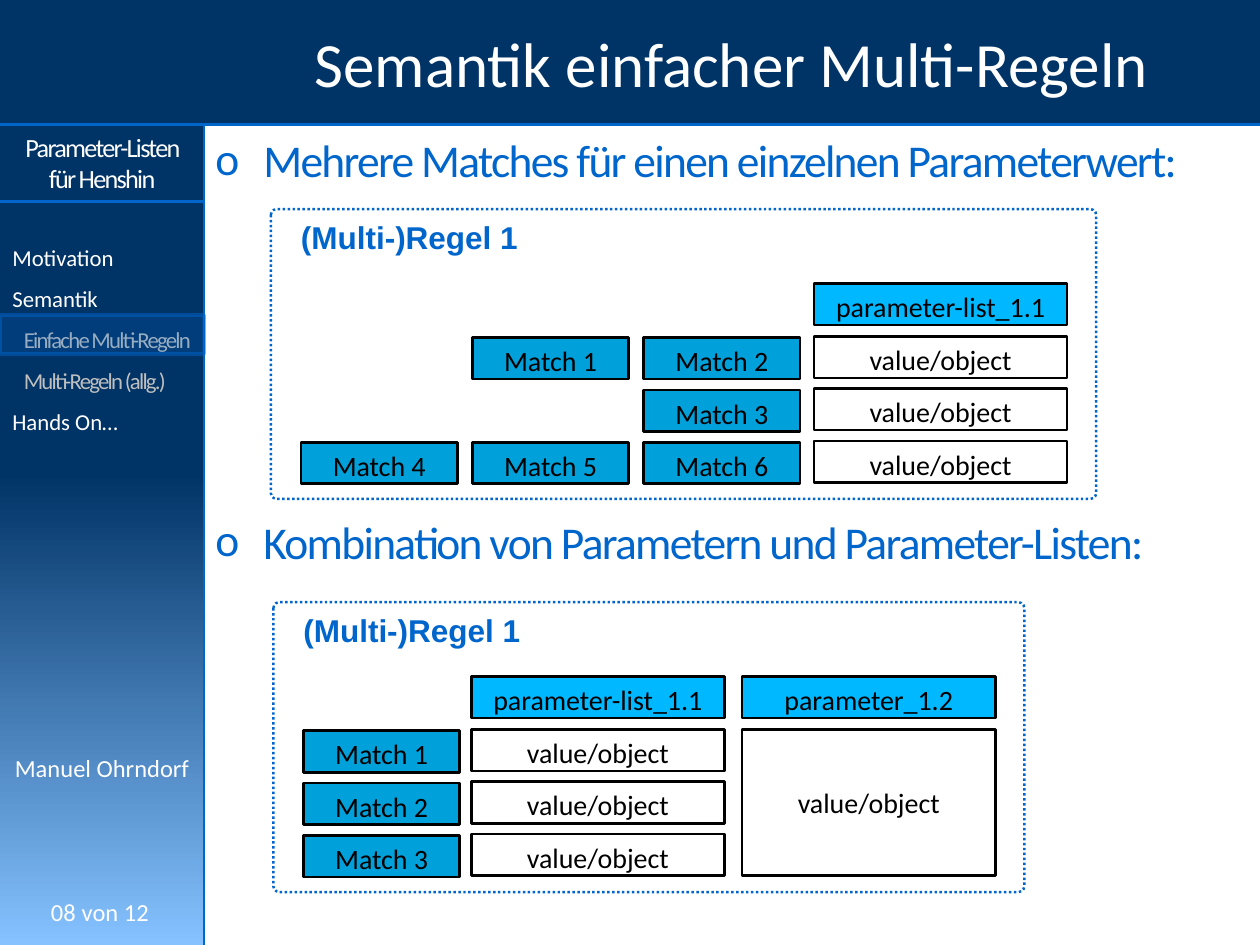
import dataclasses

import lxml.etree
import pptx
import pptx.dml.color
import pptx.enum.dml
import pptx.enum.shapes
import pptx.enum.text
import pptx.oxml
import pptx.oxml.ns
import pptx.util

Inches = pptx.util.Inches
Pt = pptx.util.Pt
Shapes = pptx.enum.shapes.MSO_SHAPE
Anchor = pptx.enum.text.MSO_ANCHOR
Align = pptx.enum.text.PP_ALIGN
qn = pptx.oxml.ns.qn


@dataclasses.dataclass(frozen=True)
class Theme:
    font: str = "Calibri"
    label_font: str = "Arial"
    navy: str = "003366"
    sky: str = "85C2FF"
    blue: str = "0066CC"
    white: str = "FFFFFF"
    muted: str = "BFBFBF"
    black: str = "000000"
    match: str = "00A1DA"
    parameter: str = "00B8FF"
    title: int = 36
    bullet: int = 26
    label: int = 18
    cell: int = 16
    topic: int = 15
    small: int = 14
    menu: int = 13


THEME = Theme()
CELL_HEIGHT = 0.33
MATCH_WIDTH = 1.24
VALUE_WIDTH = 2.01
ROW_PITCH = 0.415
MATCH_PITCH = 1.36
HEADER_TOP = 0.59
VALUES_TOP = 1.01
MATCHES_TOP = 1.02


def rgb(color):
    return pptx.dml.color.RGBColor.from_string(color)


def style(paragraph, size, color, align=None, font=THEME.font, bold=False, tight=False):
    paragraph.font.size = Pt(size)
    paragraph.font.name = font
    paragraph.font.color.rgb = rgb(color)
    paragraph.font.bold = bold
    paragraph.alignment = align
    if tight:
        for run in paragraph.runs:
            run.font._element.set("spc", "-100")


def add_text(slide, box, text, size, color, align=None, wrap=True, **options):
    frame = slide.shapes.add_textbox(*map(Inches, box)).text_frame
    frame.word_wrap = wrap
    frame.text = text
    style(frame.paragraphs[0], size, color, align, **options)
    return frame


def add_box(slide, box, fill=None, line=None, width=1.5, kind=Shapes.RECTANGLE):
    shape = slide.shapes.add_shape(kind, *map(Inches, box))
    shape.shadow.inherit = False
    if fill:
        shape.fill.solid()
        shape.fill.fore_color.rgb = rgb(fill)
    else:
        shape.fill.background()
    if line:
        shape.line.color.rgb = rgb(line)
        shape.line.width = Pt(width)
    else:
        shape.line.fill.background()
    return shape


def add_cell(slide, box, text, fill=None, anchor=Anchor.TOP):
    frame = add_box(slide, box, fill, THEME.black).text_frame
    frame.text = text
    frame.vertical_anchor = anchor
    style(frame.paragraphs[0], THEME.cell, THEME.black, Align.CENTER)


def add_rule(slide, *ends):
    rule = slide.shapes.add_connector(
        pptx.enum.shapes.MSO_CONNECTOR.STRAIGHT, *map(Inches, ends))
    rule.line.color.rgb = rgb(THEME.blue)
    rule.line.width = Pt(1.5)
    lxml.etree.SubElement(rule._element.spPr, qn("a:effectLst"))


def set_alpha(fill_format_parent, percent):
    color = fill_format_parent.find(".//" + qn("a:srgbClr"))
    lxml.etree.SubElement(color, qn("a:alpha")).set("val", str(percent * 1000))


def build_sidebar(slide, box):
    left, top, width, height = box
    sidebar = add_box(slide, box)
    sidebar.fill.gradient()
    sidebar.fill.gradient_angle = 270
    for stop, position, color in zip(
            sidebar.fill.gradient_stops, (0.5, 1), (THEME.navy, THEME.sky)):
        stop.position = position
        stop.color.rgb = rgb(color)

    add_text(slide, (left, top + 0.99, width, 0.61), "Parameter-Listen für Henshin",
             THEME.topic, THEME.white, Align.CENTER, tight=True)
    add_text(slide, (left, top + 5.93, width, 0.34), "Manuel Ohrndorf",
             THEME.small, THEME.white, Align.CENTER)
    add_text(slide, (left + 0.28, top + 7.07, 0.42, 0.34), "08",
             THEME.small, THEME.white, Align.RIGHT)
    add_text(slide, (left + 0.55, top + 7.07, 0.79, 0.34), "von 12",
             THEME.small, THEME.white, wrap=False)

    sections = (("Motivation", 0), ("Semantik", 0), ("Einfache Multi-Regeln", 1),
                ("Multi-Regeln (allg.)", 1), ("Hands On…", 0))
    menu = add_text(slide, (left, top + 1.78, width, 1.74),
                    "\n".join(name for name, _ in sections), THEME.menu, THEME.white)
    for entry, (_, level) in zip(menu.paragraphs, sections):
        style(entry, THEME.menu, THEME.muted if level else THEME.white, tight=bool(level))
        entry.line_spacing = 1.5
        if level:
            entry.level = level
            entry._p.get_or_add_pPr().set("marL", str(Inches(0.09)))

    add_rule(slide, left, top + 1.6, left + width, top + 1.6)
    add_rule(slide, left + width, top + height, left + width, top + 1)
    current = add_box(slide, (left, top + 2.5, width, 0.31), THEME.blue, THEME.blue, 2)
    set_alpha(current._element.spPr.find(qn("a:solidFill")), 20)
    set_alpha(current._element.spPr.find(qn("a:ln")), 50)


def build_header(slide, box):
    left, top, width, height = box
    add_box(slide, box, THEME.navy)
    add_rule(slide, left, top + height, left + width, top + height)
    title = slide.shapes.title
    title.left, title.top, title.width, title.height = map(
        Inches, (left + 2.22, top, 7.17, height))
    title.text_frame.text = "Semantik einfacher Multi-Regeln"
    title.text_frame.vertical_anchor = Anchor.MIDDLE
    style(title.text_frame.paragraphs[0], THEME.title, THEME.white, Align.CENTER)
    title.element.getparent().append(title.element)


def build_bullets(slide, box):
    body = slide.placeholders[1]
    body.left, body.top, body.width, body.height = map(Inches, box)
    body.text_frame.text = ("Mehrere Matches für einen einzelnen Parameterwert:\n"
                            "Kombination von Parametern und Parameter-Listen:")
    for bullet, gap in zip(body.text_frame.paragraphs, (0, 187)):
        style(bullet, THEME.bullet, THEME.blue, tight=True)
        bullet.space_before = Pt(gap)
        properties = bullet._p.get_or_add_pPr()
        properties.set("marL", str(Inches(0.38)))
        properties.set("indent", str(Inches(-0.38)))
        marker_font = pptx.oxml.parse_xml(
            f'<a:buFont {pptx.oxml.ns.nsdecls("a")} typeface="{THEME.font}"/>')
        marker = pptx.oxml.parse_xml(f'<a:buChar {pptx.oxml.ns.nsdecls("a")} char="o"/>')
        properties.find(qn("a:spcBef")).addnext(marker_font)
        marker_font.addnext(marker)


def build_rule_panel(slide, box, matches, list_left, parameter_left=None):
    left, top, width, height = box
    frame = add_box(slide, box, line=THEME.blue, width=1.42, kind=Shapes.ROUNDED_RECTANGLE)
    frame.adjustments[0] = 0.02
    frame.line.dash_style = pptx.enum.dml.MSO_LINE.ROUND_DOT
    label = add_text(slide, (left + 0.14, top, 2.34, 0.32), "(Multi-)Regel 1", THEME.label,
                     THEME.blue, wrap=False, font=THEME.label_font, bold=True)
    label.margin_top = Inches(0.07)

    add_cell(slide, (left + list_left, top + HEADER_TOP, VALUE_WIDTH, CELL_HEIGHT),
             "parameter-list_1.1", THEME.parameter)
    for row, numbers in enumerate(matches):
        offset = top + row * ROW_PITCH
        add_cell(slide, (left + list_left, offset + VALUES_TOP, VALUE_WIDTH, CELL_HEIGHT),
                 "value/object")
        for column, number in numbers.items():
            add_cell(slide, (left + 0.24 + column * MATCH_PITCH, offset + MATCHES_TOP,
                             MATCH_WIDTH, CELL_HEIGHT), f"Match {number}", THEME.match)

    if parameter_left is not None:
        add_cell(slide, (left + parameter_left, top + HEADER_TOP, VALUE_WIDTH, CELL_HEIGHT),
                 "parameter_1.2", THEME.parameter)
        add_cell(slide, (left + parameter_left, top + VALUES_TOP, VALUE_WIDTH, 1.16),
                 "value/object", anchor=Anchor.MIDDLE)


def main():
    presentation = pptx.Presentation()
    presentation.slide_width = Inches(10)
    presentation.slide_height = Inches(7.5)
    slide = presentation.slides.add_slide(presentation.slide_layouts[1])
    build_sidebar(slide, (0, 0, 1.62, 7.5))
    build_header(slide, (0, 0, 10, 0.99))
    build_bullets(slide, (1.61, 1, 8.39, 6.5))
    build_rule_panel(slide, (2.15, 1.66, 6.55, 2.3),
                     ({1: 1, 2: 2}, {2: 3}, {0: 4, 1: 5, 2: 6}), 4.31)
    build_rule_panel(slide, (2.17, 4.78, 5.96, 2.3), ({0: 1}, {0: 2}, {0: 3}), 1.57, 3.72)
    presentation.save("out.pptx")


if __name__ == "__main__":
    main()
